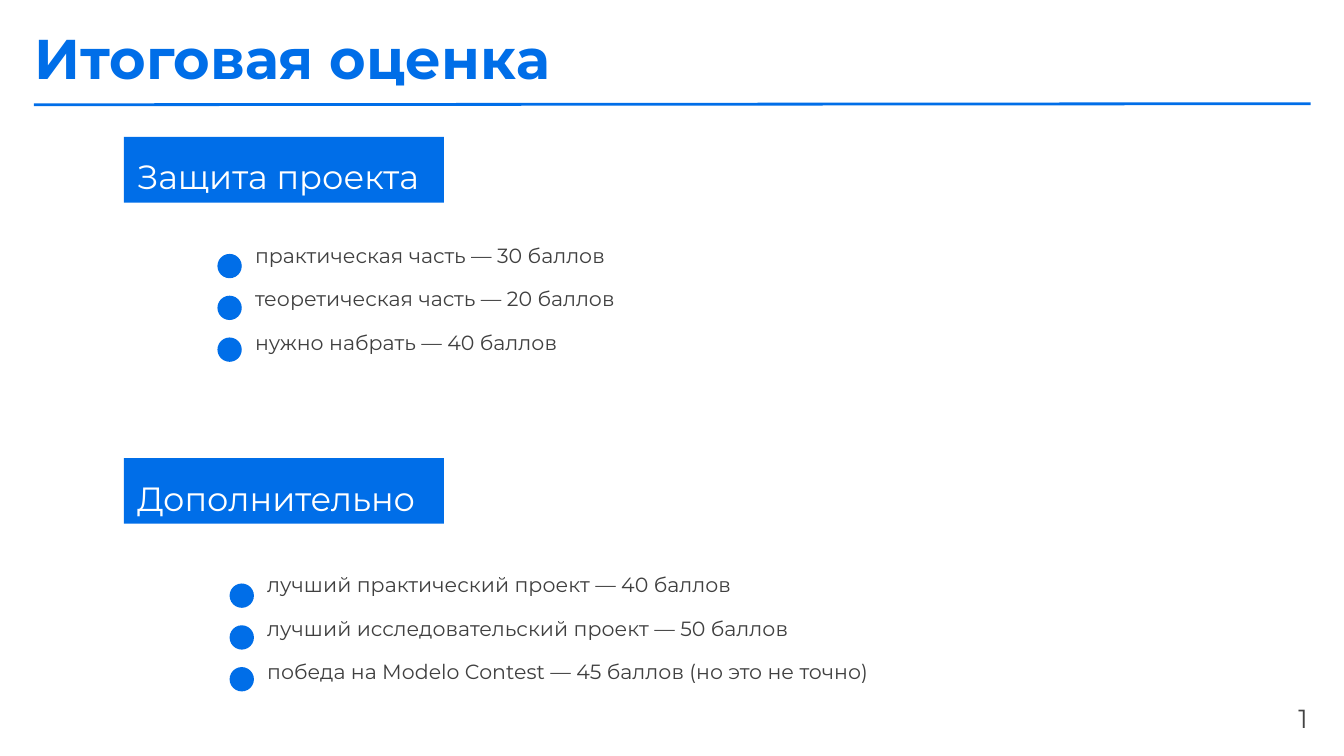
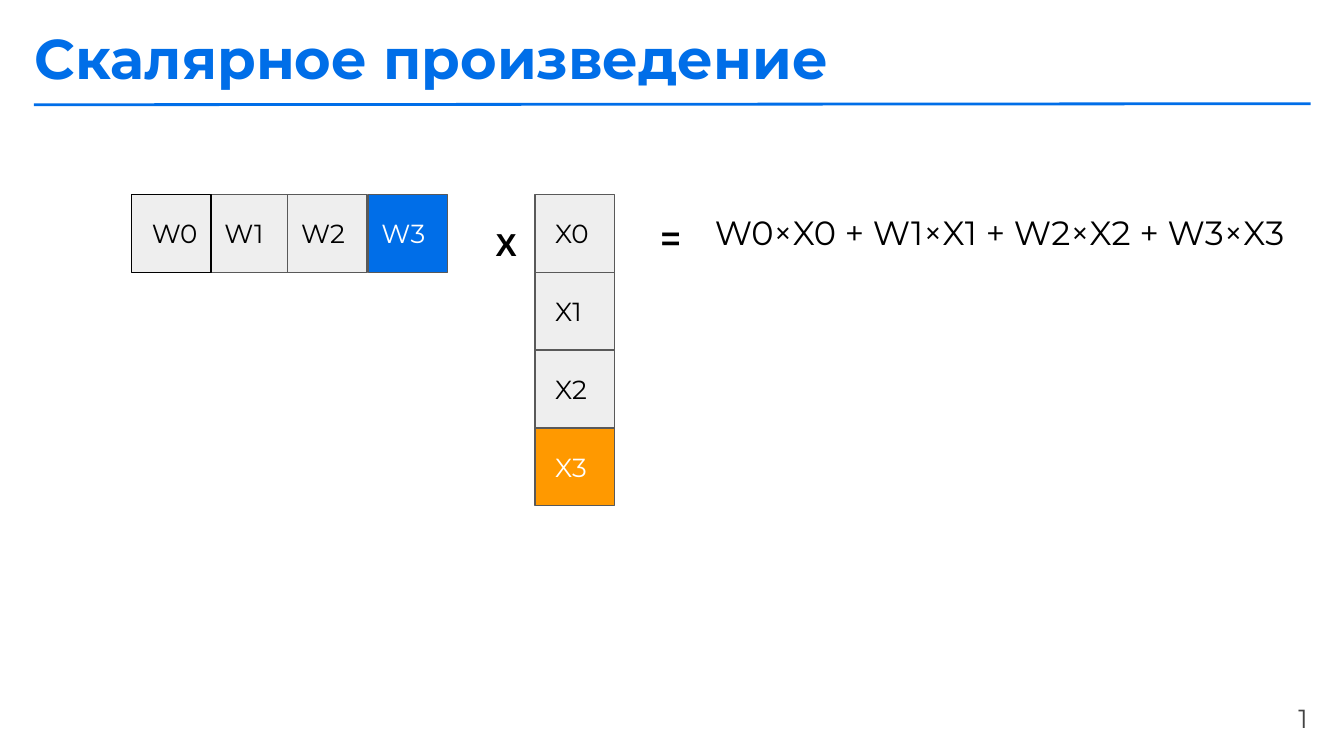
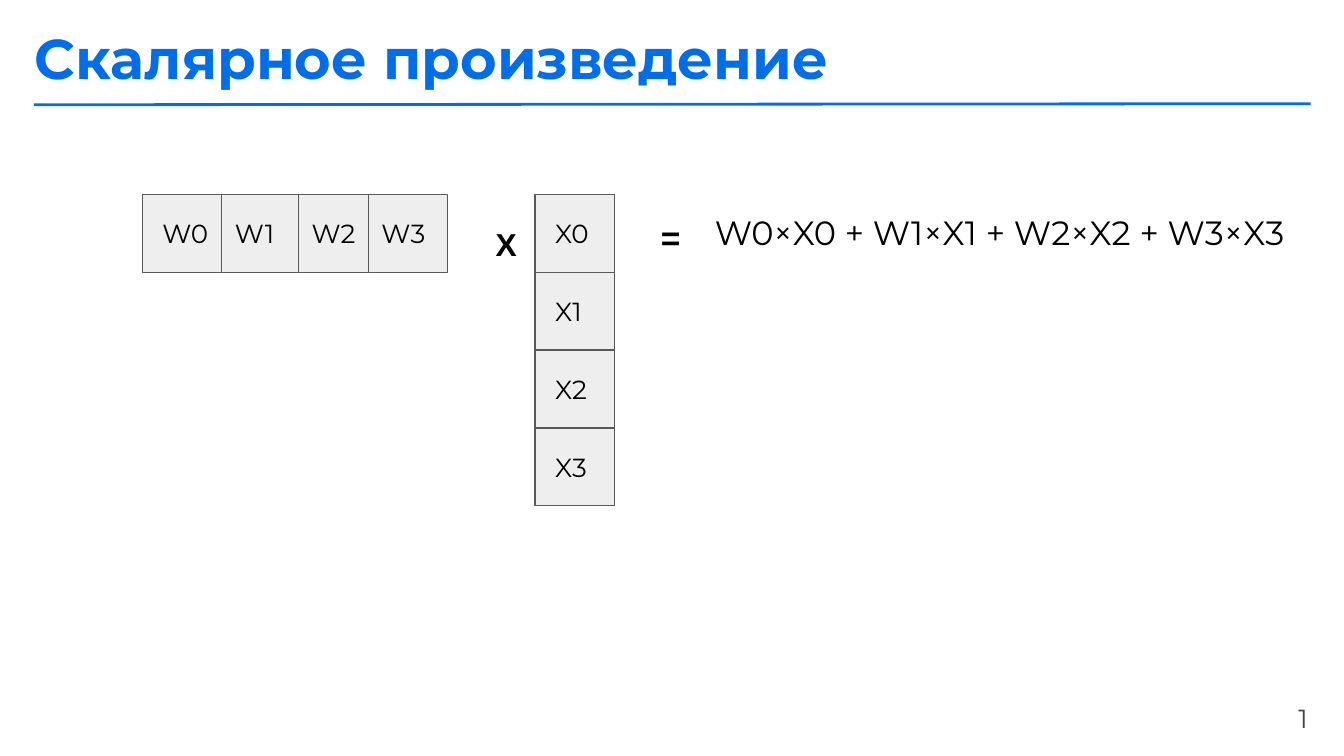
import itertools

import pptx
import pptx.dml.color
import pptx.enum.shapes
import pptx.enum.text
import pptx.oxml.ns
import pptx.util
from lxml import etree

Cm = pptx.util.Cm
Pt = pptx.util.Pt
SHAPE = pptx.enum.shapes.MSO_SHAPE
ANCHOR = pptx.enum.text.MSO_ANCHOR
ALIGN = pptx.enum.text.PP_ALIGN

# Shared style
FONT = "Montserrat"
BLUE, ORANGE, GREY = "006EE8", "FF9900", "EEEEEE"
WHITE, BLACK, EDGE = "FFFFFF", "000000", "595959"
LIST_TEXT, NUMBER_TEXT = "404040", "434343"
INSET = 0.25
CELL_W, CELL_H = 1.5, 1.47


def color(hex_code):
    return pptx.dml.color.RGBColor.from_string(hex_code)


def place(part, box):
    part.left, part.top, part.width, part.height = (Cm(side) for side in box)


def write(part, lines, size, hex_code, font=FONT, bold=False, align=ALIGN.LEFT,
          anchor=ANCHOR.TOP, gap=0, spacing=None, inset_left=INSET):
    """Fill a text frame with one unbulleted paragraph per line."""
    frame = part.text_frame
    frame.word_wrap = True
    frame.auto_size = pptx.enum.text.MSO_AUTO_SIZE.NONE
    frame.vertical_anchor = anchor
    frame.margin_left = Cm(inset_left)
    frame.margin_top = frame.margin_right = frame.margin_bottom = Cm(INSET)
    for i, line in enumerate(lines):
        paragraph = frame.add_paragraph() if i else frame.paragraphs[0]
        if part.is_placeholder:
            properties = paragraph._p.get_or_add_pPr()
            properties.set("marL", "0")
            properties.set("indent", "0")
            etree.SubElement(properties, pptx.oxml.ns.qn("a:buNone"))
        paragraph.alignment = align
        paragraph.space_before = Pt(gap if i else 0)
        if spacing:
            paragraph.line_spacing = spacing
        run = paragraph.add_run()
        run.text = line
        run.font.name = font
        run.font.size = Pt(size)
        run.font.bold = bold
        run.font.color.rgb = color(hex_code)


def add_label(slide, box, text, size, hex_code, **style):
    label = slide.shapes.add_textbox(*(Cm(side) for side in box))
    write(label, [text], size, hex_code, **style)


def add_figure(slide, kind, box, fill, edge=None):
    figure = slide.shapes.add_shape(kind, *(Cm(side) for side in box))
    figure.shadow.inherit = False
    figure.fill.solid()
    figure.fill.fore_color.rgb = color(fill)
    if edge:
        figure.line.color.rgb = color(edge)
        figure.line.width = Pt(0.75)
    else:
        figure.line.fill.background()
    return figure


def add_base(deck, layout_name, title):
    """Start a slide with its title, rule and page number."""
    slide = deck.slides.add_slide(deck.slide_layouts.get_by_name(layout_name))
    place(slide.shapes.title, (0.41, 0.2, 19.08, 1.78))
    write(slide.shapes.title, [title], 30, BLUE, bold=True)
    rule = slide.shapes.add_connector(
        pptx.enum.shapes.MSO_CONNECTOR.STRAIGHT, Cm(0.64), Cm(1.98), Cm(24.77), Cm(1.96))
    rule.line.color.rgb = color(BLUE)
    rule.line.width = Pt(1.5)
    etree.SubElement(rule._element.spPr, pptx.oxml.ns.qn("a:effectLst"))
    add_label(slide, (23.47, 13.03, 1.5, 1), "1", 14, NUMBER_TEXT, align=ALIGN.RIGHT)
    return slide


def add_section(slide, box, heading_idx, heading, items, list_shift):
    """Blue band with a heading, and a dotted list below it."""
    left, top, width, height = box
    band = add_figure(slide, SHAPE.RECTANGLE, box, BLUE)
    heading_part = slide.placeholders[heading_idx]
    place(heading_part, (left, top, 7.37, 1))
    write(heading_part, [heading], 18, WHITE, spacing=1.15)
    # The band lies behind its heading
    heading_part._element.addprevious(band._element)

    list_left, list_top = left + list_shift[0], top + list_shift[1]
    item_list = slide.placeholders[heading_idx + 1]
    place(item_list, (list_left, list_top, 13.08, 2.97))
    write(item_list, items, 11, LIST_TEXT, gap=10)
    dot = 0.46
    for i in range(len(items)):
        add_figure(slide, SHAPE.OVAL,
                   (list_left - dot, list_top + dot + i * 0.79, dot, dot), BLUE)


def add_cell(slide, left, top, text, fill=GREY, edge=EDGE, inset_left=INSET):
    cell = add_figure(slide, SHAPE.RECTANGLE, (left, top, CELL_W, CELL_H), fill, edge)
    write(cell, [text], 14, BLACK if fill == GREY else WHITE,
          anchor=ANCHOR.MIDDLE, inset_left=inset_left)


def add_product(slide, left, top, steps, first_edge=EDGE, last_fills=(GREY, GREY)):
    """Row of weights times column of inputs, and the resulting sum."""
    row_fill, column_fill = last_fills
    add_label(slide, (9.12, top + 0.31, 0.86, 1), "X", 17, BLACK, font="Arial", bold=True)
    add_label(slide, (12.24, top + 0.18, 1.02, 1.24), "=", 18, BLACK, font="Arial", bold=True)
    add_label(slide, (13.26, top + 0.08, 11.58, 1.47),
              "W0×X0 + W1×X1 + W2×X2 + W3×X3", 18, BLACK)

    # Weights; the first cell overlaps the second
    lefts = list(itertools.accumulate(steps, initial=left))
    for i in (1, 0, 2, 3):
        add_cell(slide, lefts[i], top, f"W{i}",
                 fill=row_fill if i == 3 else GREY,
                 edge=EDGE if i else first_edge,
                 inset_left=INSET if i else 0.38)

    # Inputs
    for i in range(4):
        add_cell(slide, 10.11, top + i * CELL_H, f"X{i}",
                 fill=column_fill if i == 3 else GREY, inset_left=0.38)


def main():
    deck = pptx.Presentation()
    deck.slide_width, deck.slide_height = Cm(25.4), Cm(14.29)

    # Grading
    grading = add_base(deck, "Comparison", "Итоговая оценка")
    add_section(grading, (2.34, 2.59, 6.05, 1.24), 1, "Защита проекта", [
        "практическая часть — 30 баллов",
        "теоретическая часть — 20 баллов",
        "нужно набрать — 40 баллов",
    ], (2.23, 1.75))
    add_section(grading, (2.34, 8.66, 6.05, 1.24), 3, "Дополнительно", [
        "лучший практический проект — 40 баллов",
        "лучший исследовательский проект — 50 баллов",
        "победа на Modelo Contest — 45 баллов (но это не точно)",
    ], (2.46, 1.91))

    # Dot product: last pair highlighted, then plain
    highlighted = add_base(deck, "Title Only", "Скалярное произведение")
    add_product(highlighted, 2.49, 3.68, (1.5, 1.45, 1.52),
                first_edge=BLACK, last_fills=(BLUE, ORANGE))
    plain = add_base(deck, "Title Only", "Скалярное произведение")
    add_product(plain, 2.69, 3.68, (1.5, 1.45, 1.32))

    deck.save("out.pptx")


if __name__ == "__main__":
    main()
